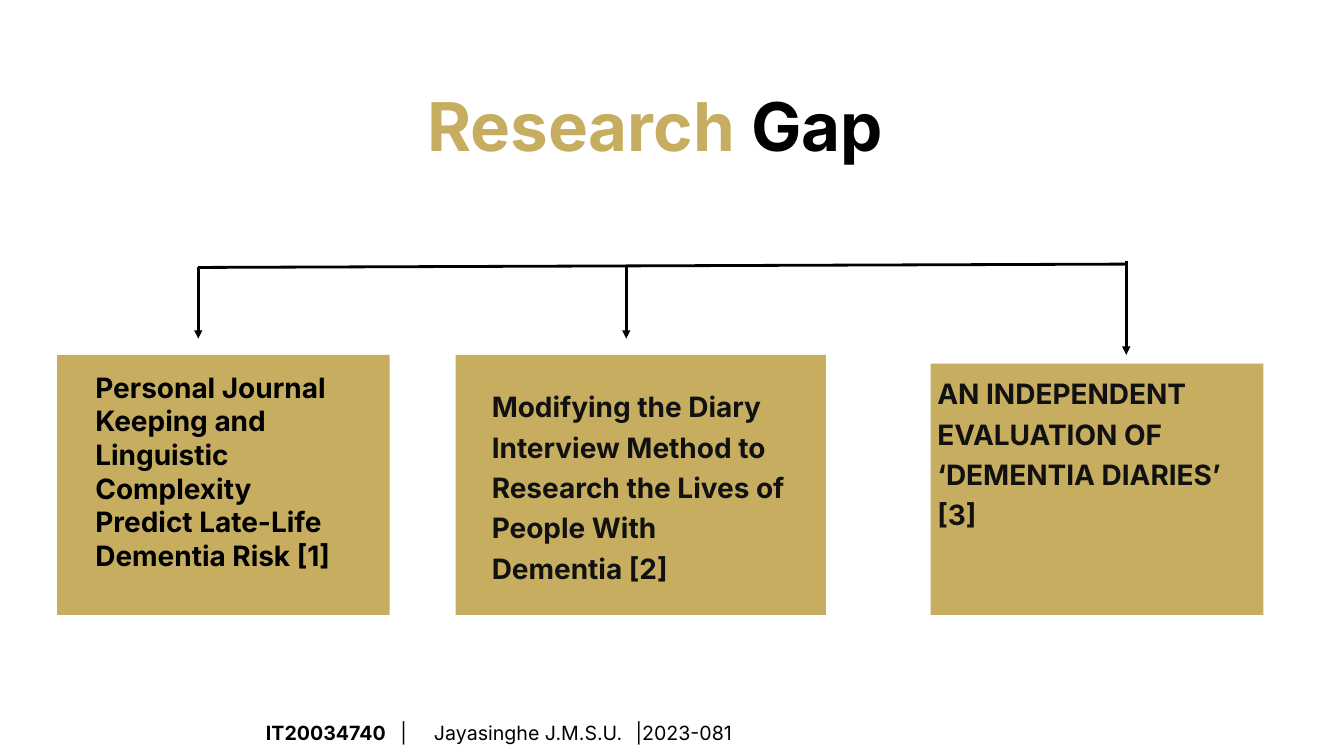
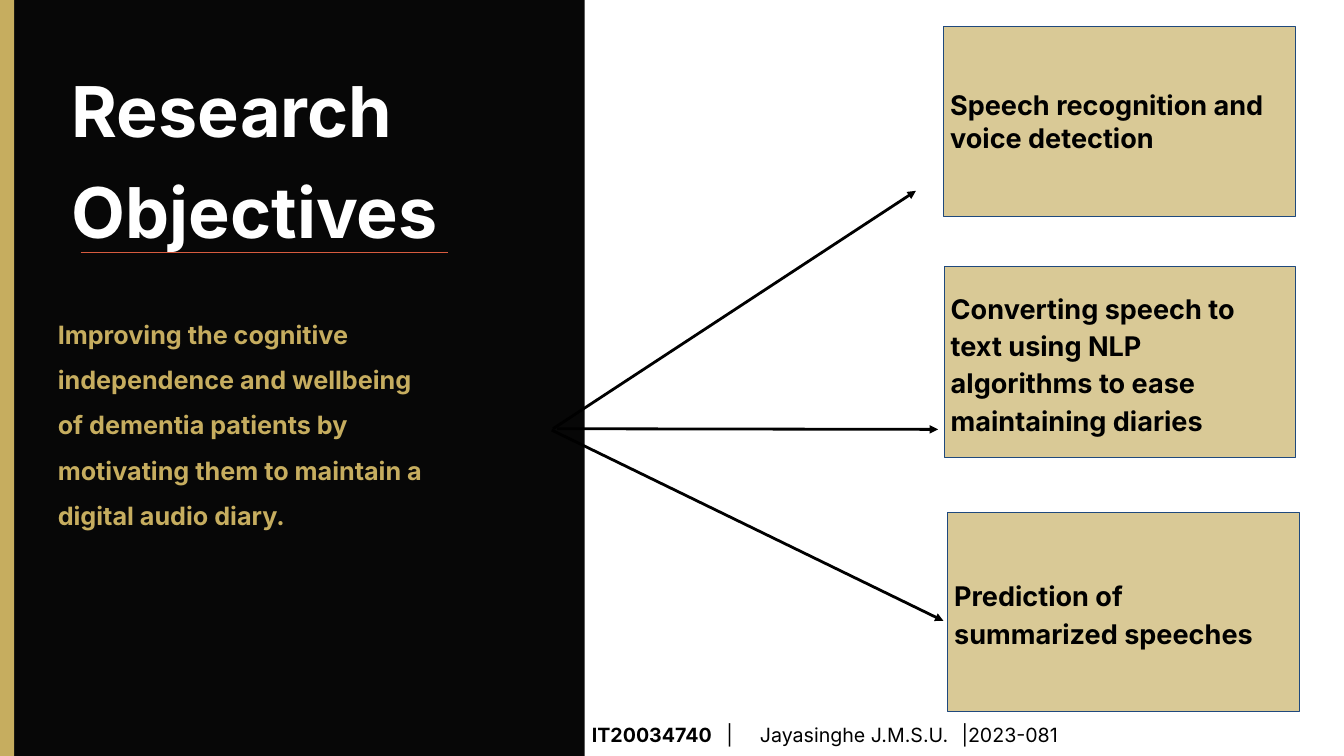
from lxml.etree import SubElement
from pptx import Presentation
from pptx.dml.color import RGBColor
from pptx.enum.shapes import MSO_CONNECTOR as Link, MSO_SHAPE as Shape
from pptx.enum.text import MSO_ANCHOR as Anchor, MSO_AUTO_SIZE as Fit, PP_ALIGN as Align
from pptx.oxml.ns import qn
from pptx.util import Inches, Pt

COLS, ROWS = 20, 11.25
CELL = Inches(1)
FONT = "Inter"
GOLD, BLACK, INK, WHITE = "C6AD5F", "000000", "111111", "FFFFFF"
PANEL, NAVY, RUST = "070707", "1F497D", "D75B3F"
TITLE_ONLY, TITLE_BODY = 5, 1


def cells(*nums):
    """Turn grid columns and rows into slide lengths."""
    return [round(n * CELL) for n in nums]


def color(code):
    return RGBColor.from_string(code)


class Deck:
    """Holds the shared style and the slide being built."""

    def __init__(self):
        self.prs = Presentation()
        self.prs.slide_width, self.prs.slide_height = cells(COLS, ROWS)

    def start(self, layout):
        self.slide = self.prs.slides.add_slide(self.prs.slide_layouts[layout])
        self.shapes = self.slide.shapes

    def label(self, shape, runs, size, gap=1.0, pad=0.1, right=None,
              anchor=Anchor.TOP, after=0, tabs=()):
        """Fill a shape with one paragraph of (text, colour, bold) runs."""
        frame = shape.text_frame
        frame.word_wrap = True
        frame.auto_size = Fit.NONE
        frame.vertical_anchor = anchor
        frame.margin_left = frame.margin_top = frame.margin_bottom = Inches(pad)
        frame.margin_right = Inches(pad if right is None else right)
        para = frame.paragraphs[0]
        para.alignment = Align.LEFT
        para.line_spacing = gap
        para.space_before, para.space_after = Pt(0), Pt(after)
        props = para._p.get_or_add_pPr()
        props.set("marL", "0")
        props.set("indent", "0")
        SubElement(props, qn("a:buNone"))
        if tabs:
            stops = SubElement(props, qn("a:tabLst"))
            for pos in cells(*tabs):
                SubElement(stops, qn("a:tab"), pos=str(pos), algn="l")
        for text, code, bold in runs:
            run = para.add_run()
            run.text = text
            font = run.font
            font.name, font.size, font.bold = FONT, Pt(size), bold
            font.color.rgb = color(code)

    def holder(self, index, at, runs, size, **style):
        """Move a placeholder to the front and fill it."""
        shape = self.slide.placeholders[index]
        shape.left, shape.top, shape.width, shape.height = cells(*at)
        self.shapes.element.append(shape.element)
        self.label(shape, runs, size, **style)

    def title(self, at, runs, size):
        self.holder(0, at, runs, size, gap=1.2, pad=0)

    def body(self, at, runs, size, **style):
        self.holder(1, at, runs, size, **style)

    def text(self, at, runs, size, **style):
        self.label(self.shapes.add_textbox(*cells(*at)), runs, size, **style)

    def block(self, at, fill, edge=None, alpha=None):
        shape = self.shapes.add_shape(Shape.RECTANGLE, *cells(*at))
        shape.shadow.inherit = False
        shape.fill.solid()
        shape.fill.fore_color.rgb = color(fill)
        if alpha:
            tint = shape.element.spPr.find(".//" + qn("a:srgbClr"))
            SubElement(tint, qn("a:alpha"), val=str(alpha * 1000))
        if edge:
            shape.line.color.rgb = color(edge)
            shape.line.width = Pt(0.75)
        else:
            shape.line.fill.background()
        return shape

    def line(self, ends, code=BLACK, width=3, arrow=False):
        link = self.shapes.add_connector(Link.STRAIGHT, *cells(*ends))
        link.line.color.rgb = color(code)
        link.line.width = Pt(width)
        props = link.element.spPr
        if arrow:
            SubElement(props.find(qn("a:ln")), qn("a:tailEnd"), type="triangle")
        SubElement(props, qn("a:effectLst"))

    def footer(self, left, top, width):
        runs = [("IT20034740", BLACK, True),
                ("\t|\tJayasinghe J.M.S.U.\t|2023-081", BLACK, False)]
        self.text((left, top, width, 0.56), runs, 21, gap=1.15, tabs=(1.95, 2.29, 5.3))


def gap_slide(deck):
    deck.start(TITLE_ONLY)
    deck.title((6.36, 1.02, 9.24, 1.21),
               [("Research ", GOLD, True), ("Gap", BLACK, True)], 72)

    deck.line((2.95, 3.98, 16.76, 3.93))
    for x, top, tip in ((2.95, 3.98, 5.04), (9.32, 3.98, 5.04), (16.76, 3.88, 5.28)):
        deck.line((x, top, x, tip), arrow=True)

    base = 9.15
    papers = [
        (0.85, 5.28, 4.95, (1.32, 5.41, 3.89, 3.23), BLACK, 1.0,
         "Personal Journal Keeping and Linguistic Complexity "
         "Predict Late-Life Dementia Risk [1]"),
        (6.78, 5.28, 5.51, (7.22, 5.6, 4.64, 3.13), INK, 1.2,
         "Modifying the Diary Interview Method to Research "
         "the Lives of People With Dementia [2]"),
        (13.85, 5.41, 4.95, (13.85, 5.41, 4.95, 2.52), INK, 1.2,
         "AN INDEPENDENT EVALUATION OF ‘DEMENTIA DIARIES’ [3]"),
    ]
    for left, top, width, at, code, gap, name in papers:
        deck.block((left, top, width, base - top), GOLD)
        deck.text(at, [(name, code, True)], 30, gap=gap)
    deck.footer(3.86, 10.58, 10.28)


def goal_slide(deck):
    deck.start(TITLE_BODY)
    deck.block((0.1, 0, 8.6, ROWS), PANEL)
    deck.block((0, 0, 0.21, ROWS), GOLD)
    deck.title((1.07, 0.76, 6.19, 2.78), [("Research Objectives", WHITE, True)], 75)
    aim = ("Improving the cognitive independence and wellbeing of dementia patients "
           "by motivating them to maintain a digital audio diary.")
    deck.body((0.76, 4.42, 6.81, 3.38), [(aim, GOLD, True)], 27,
              gap=1.5, right=1.1, after=8)

    for ends in ((8.23, 6.38, 13.63, 2.84), (8.29, 6.38, 13.96, 6.39),
                 (8.21, 6.4, 14.04, 9.24)):
        deck.line(ends, arrow=True)

    goals = [
        (14.04, 0.39, 2.83, 1.0, "Speech recognition and voice detection"),
        (14.05, 3.97, 2.83, 1.15,
         "Converting speech to text using NLP algorithms to ease maintaining diaries"),
        (14.1, 7.63, 2.96, 1.15, "Prediction of summarized speeches"),
    ]
    for left, top, height, gap, goal in goals:
        box = deck.block((left, top, 5.23, height), GOLD, edge=NAVY, alpha=65)
        deck.label(box, [(goal, BLACK, True)], 29, gap=gap, anchor=Anchor.MIDDLE)
    deck.line((1.2, 3.76, 6.67, 3.76), RUST, 0.75)
    deck.footer(8.71, 10.6, 10.95)


def main():
    deck = Deck()
    gap_slide(deck)
    goal_slide(deck)
    deck.prs.save("out.pptx")


if __name__ == "__main__":
    main()
